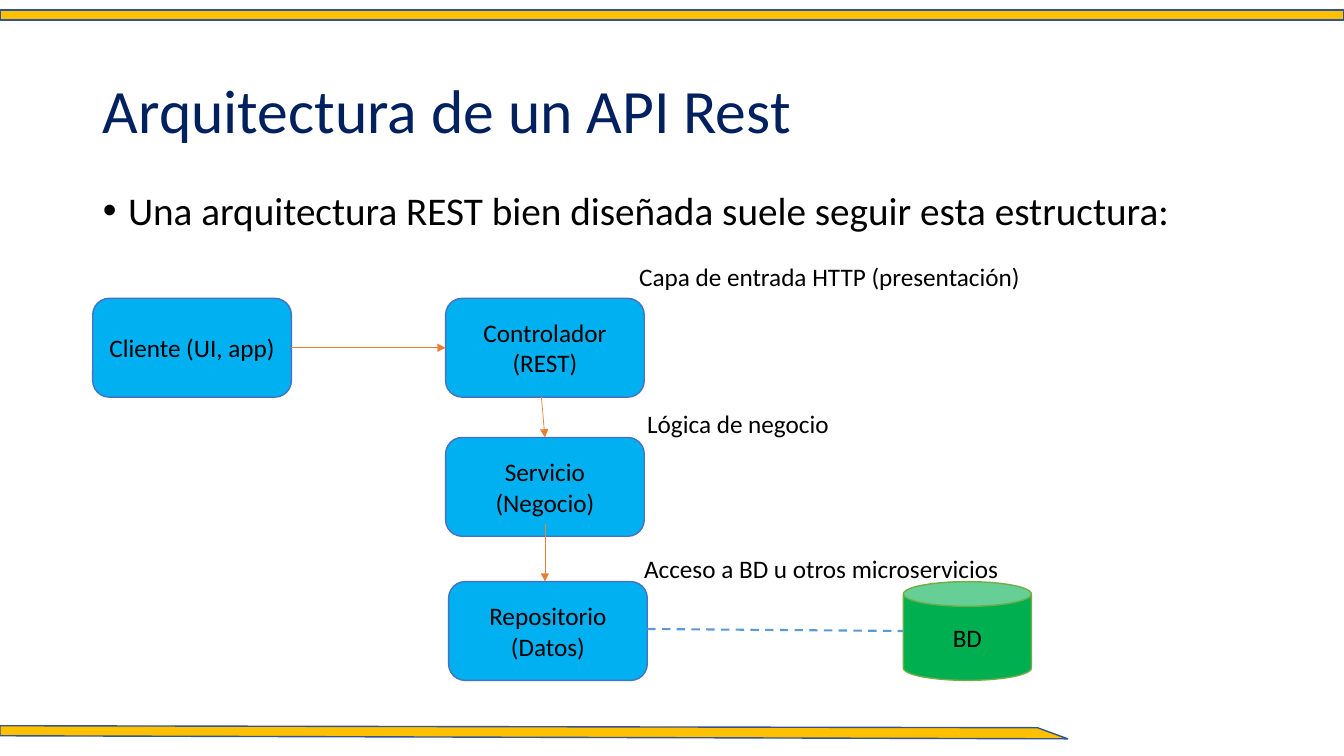
import pptx
import pptx.util
import pptx.dml.color
import pptx.enum.dml
import pptx.enum.shapes
import pptx.enum.text
import pptx.oxml

RGBColor = pptx.dml.color.RGBColor
SHAPE = pptx.enum.shapes.MSO_SHAPE
ALIGN = pptx.enum.text.PP_ALIGN
ANCHOR = pptx.enum.text.MSO_ANCHOR
Inches = pptx.util.Inches
Pt = pptx.util.Pt

GOLD = RGBColor(0xFF, 0xC0, 0x00)
GOLD_EDGE = RGBColor(0x32, 0x54, 0x91)
NAVY = RGBColor(0x00, 0x20, 0x60)
BLACK = RGBColor(0x00, 0x00, 0x00)
SKY = RGBColor(0x00, 0xB0, 0xF0)
SKY_EDGE = RGBColor(0x44, 0x72, 0xC4)
GREEN = RGBColor(0x00, 0xB0, 0x50)
GREEN_EDGE = RGBColor(0x70, 0xAD, 0x47)
ORANGE = RGBColor(0xED, 0x7D, 0x31)
BLUE = RGBColor(0x5B, 0x9B, 0xD5)

FONT = "Calibri"
WIDTH, HEIGHT = 13.33, 7.5
MARGIN, CONTENT_WIDTH = 0.92, 11.5
LAYER_COLUMN, STORE_COLUMN = 4.42, 8.96
ROWS = (2.96, 4.34, 5.77)
BOX_WIDTH, BOX_HEIGHT, STORE_WIDTH = 1.97, 0.98, 1.27
LABEL_HEIGHT = 0.4

TITLE = "Arquitectura de un API Rest"
INTRO = "Una arquitectura REST bien diseñada suele seguir esta estructura:"
BOXES = {
    "client": ("Cliente (UI, app)", MARGIN, ROWS[0]),
    "controller": ("Controlador (REST)", LAYER_COLUMN, ROWS[0]),
    "service": ("Servicio (Negocio)", LAYER_COLUMN, ROWS[1]),
    "repository": ("Repositorio (Datos)", LAYER_COLUMN + 0.03, ROWS[2]),
}
LABELS = [
    ("Capa de entrada HTTP (presentación)", 6.24, 2.54, 3.99),
    ("Lógica de negocio", 6.32, 4.0, 2.03),
    ("Acceso a BD u otros microservicios", 6.29, 5.44, 3.73),
]
BOTTOM_BAND = [(0, 7.2), (10.29, 7.22), (10.59, 7.33), (0, 7.3)]


def paint(shape, fill, edge):
    shape.shadow.inherit = False
    shape.fill.solid()
    shape.fill.fore_color.rgb = fill
    shape.line.color.rgb = edge
    shape.line.width = Pt(1)


def write(shape, text, size, color, align):
    shape.text_frame.text = text
    para = shape.text_frame.paragraphs[0]
    para.alignment = align
    para.font.name = FONT
    para.font.size = Pt(size)
    para.font.color.rgb = color
    return para


def place(shape, left, top, width, height):
    shape.left, shape.top = Inches(left), Inches(top)
    shape.width, shape.height = Inches(width), Inches(height)


def add_node(page, kind, text, left, top, width, fill, edge):
    node = page.shapes.add_shape(
        kind, Inches(left), Inches(top), Inches(width), Inches(BOX_HEIGHT))
    paint(node, fill, edge)
    node.text_frame.word_wrap = True
    node.text_frame.vertical_anchor = ANCHOR.MIDDLE
    write(node, text, 18, BLACK, ALIGN.CENTER)
    return node


def add_link(page, start, end, color, weight):
    link = page.shapes.add_connector(
        pptx.enum.shapes.MSO_CONNECTOR.STRAIGHT, *map(Inches, start + end))
    link.line.color.rgb = color
    link.line.width = Pt(weight)
    link._element.spPr.append(pptx.oxml.parse_xml(
        '<a:effectLst xmlns:a="http://schemas.openxmlformats.org/drawingml/2006/main"/>'))
    return link


def add_arrow(page, start, end):
    arrow = add_link(page, start, end, ORANGE, 0.5)
    arrow.line._get_or_add_ln().append(pptx.oxml.parse_xml(
        '<a:tailEnd xmlns:a="http://schemas.openxmlformats.org/drawingml/2006/main"'
        ' type="triangle"/>'))
    return arrow


def add_bands(page):
    top_band = page.shapes.add_shape(
        SHAPE.RECTANGLE, 0, Inches(0.1), Inches(WIDTH), Inches(0.1))
    points = [(Inches(x), Inches(y)) for x, y in BOTTOM_BAND]
    builder = page.shapes.build_freeform(*points[0])
    builder.add_line_segments(points[1:], close=True)
    for band in (top_band, builder.convert_to_shape()):
        paint(band, GOLD, GOLD_EDGE)


def add_headings(page):
    title, body = page.shapes.title, page.placeholders[1]
    place(title, MARGIN, 0.4, CONTENT_WIDTH, 1.45)
    place(body, MARGIN, 1.85, CONTENT_WIDTH, 4.91)
    title.text_frame.vertical_anchor = ANCHOR.MIDDLE
    write(title, TITLE, 44, NAVY, ALIGN.LEFT).line_spacing = 0.9
    intro = write(body, INTRO, 28, BLACK, ALIGN.LEFT)
    intro.line_spacing = 0.9
    intro.space_before = Pt(10)
    properties = intro._p.get_or_add_pPr()
    properties.set("marL", str(Inches(0.25)))
    properties.set("indent", str(-Inches(0.25)))


def add_diagram(page):
    nodes = {
        name: add_node(page, SHAPE.ROUNDED_RECTANGLE, text, left, top,
                       BOX_WIDTH, SKY, SKY_EDGE)
        for name, (text, left, top) in BOXES.items()
    }
    add_node(page, SHAPE.CAN, "BD", STORE_COLUMN, ROWS[2], STORE_WIDTH, GREEN, GREEN_EDGE)

    center = LAYER_COLUMN + BOX_WIDTH / 2
    middle = ROWS[0] + BOX_HEIGHT / 2
    request = add_arrow(page, (MARGIN + BOX_WIDTH, middle), (LAYER_COLUMN, middle))
    request.begin_connect(nodes["client"], 3)
    request.end_connect(nodes["controller"], 1)
    call = add_arrow(page, (5.37, ROWS[0] + BOX_HEIGHT), (center, ROWS[1]))
    call.end_connect(nodes["service"], 0)
    add_arrow(page, (center, 5.2), (center, ROWS[2]))
    query = add_link(page, (6.42, 6.24), (STORE_COLUMN, 6.26), BLUE, 1.5)
    query.line.dash_style = pptx.enum.dml.MSO_LINE.DASH

    for text, left, top, width in LABELS:
        label = page.shapes.add_textbox(
            Inches(left), Inches(top), Inches(width), Inches(LABEL_HEIGHT))
        label.text_frame.word_wrap = False
        label.text_frame.auto_size = pptx.enum.text.MSO_AUTO_SIZE.SHAPE_TO_FIT_TEXT
        write(label, text, 18, BLACK, ALIGN.LEFT)


def main():
    deck = pptx.Presentation()
    deck.slide_width, deck.slide_height = Inches(WIDTH), Inches(HEIGHT)
    page = deck.slides.add_slide(deck.slide_layouts[1])
    add_bands(page)
    add_headings(page)
    add_diagram(page)
    deck.save("out.pptx")


if __name__ == "__main__":
    main()
